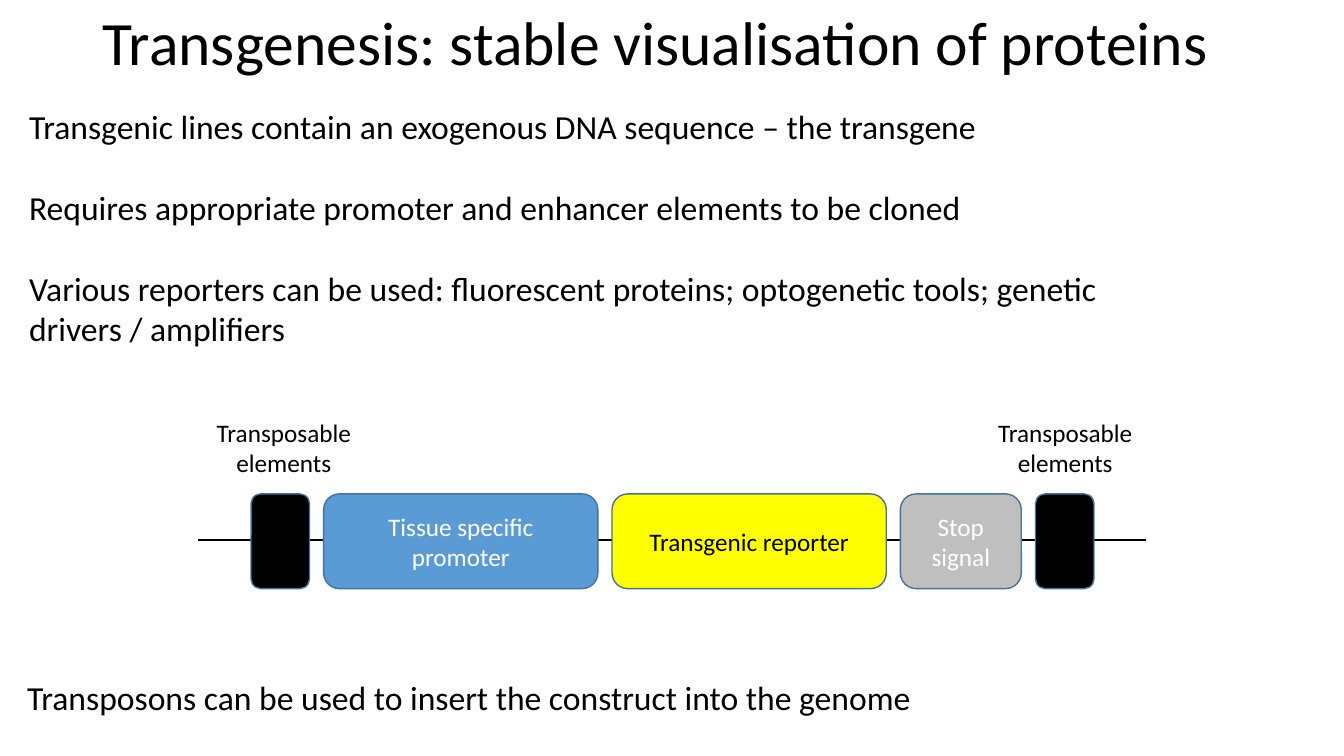
from dataclasses import dataclass

from lxml import etree
from pptx import Presentation
from pptx.dml.color import RGBColor
from pptx.enum.shapes import MSO_CONNECTOR, MSO_SHAPE
from pptx.enum.text import MSO_ANCHOR, MSO_AUTO_SIZE, PP_ALIGN
from pptx.oxml.ns import qn
from pptx.slide import Slide
from pptx.text.text import TextFrame
from pptx.util import Inches, Pt

LINE = MSO_CONNECTOR.STRAIGHT
ROUND = MSO_SHAPE.ROUNDED_RECTANGLE
TOP, MIDDLE = MSO_ANCHOR.TOP, MSO_ANCHOR.MIDDLE
GROW, FIXED = MSO_AUTO_SIZE.SHAPE_TO_FIT_TEXT, MSO_AUTO_SIZE.NONE
LEFT, CENTER = PP_ALIGN.LEFT, PP_ALIGN.CENTER

FONT = "Calibri"
BLACK, WHITE, EDGE = "000000", "FFFFFF", "43739E"
START, GAP = 2.49, 0.14
GENE_TOP, GENE_HIGH = 4.9, 0.94


@dataclass
class Part:
    """One block of the gene construct."""
    wide: float
    fill: str
    lines: tuple[str, ...] = ()
    ink: str = WHITE


@dataclass
class Note:
    """A free text box."""
    left: float
    top: float
    wide: float
    high: float
    lines: tuple[str, ...]
    size: float
    align: PP_ALIGN = LEFT
    wrap: bool = False
    gap: float = 0
    pitch: float = 1.0


ENDS = ("Transposable", "elements")
NOTES = [
    Note(0.19, 1, 10.97, 2.52, (
        "Transgenic lines contain an exogenous DNA sequence – the transgene",
        "Requires appropriate promoter and enhancer elements to be cloned",
        "Various reporters can be used: fluorescent proteins; optogenetic tools; genetic"
        "\vdrivers / amplifiers"), 24, gap=29),
    Note(2.04, 4.09, 1.55, 0.71, ENDS, 18, CENTER),
    Note(9.79, 4.09, 1.55, 0.71, ENDS, 18, CENTER),
    Note(0.17, 6.67, 9.05, 0.5,
         ("Transposons can be used to insert the construct into the genome",), 24),
    Note(0.92, 0.07, 11.5, 1.45,
         ("Transgenesis: stable visualisation of proteins",), 44, wrap=True, pitch=0.9),
]
PARTS = [
    Part(0.58, BLACK),
    Part(2.72, "5B9BD5", ("Tissue specific promoter",)),
    Part(2.72, "FFFF00", ("Transgenic reporter",), BLACK),
    Part(1.2, "BFBFBF", ("Stop", "signal")),
    Part(0.58, BLACK),
]


def color(code: str) -> RGBColor:
    return RGBColor.from_string(code)


def write(frame: TextFrame, lines: tuple[str, ...], size: float, ink: str,
          align: PP_ALIGN, gap: float = 0, pitch: float = 1.0) -> None:
    """Add one paragraph per line; a vertical tab breaks within one."""
    for i, line in enumerate(lines):
        para = frame.add_paragraph() if i else frame.paragraphs[0]
        para.alignment = align
        para.line_spacing = pitch
        para.space_before = Pt(gap if i else 0)
        for j, text in enumerate(line.split("\v")):
            if j:
                para.add_line_break()
            run = para.add_run()
            run.text = text
            run.font.name = FONT
            run.font.size = Pt(size)
            run.font.color.rgb = color(ink)


def add_note(slide: Slide, note: Note) -> None:
    box = slide.shapes.add_textbox(Inches(note.left), Inches(note.top),
                                   Inches(note.wide), Inches(note.high))
    frame = box.text_frame
    frame.word_wrap = note.wrap
    frame.auto_size = FIXED if note.wrap else GROW
    frame.vertical_anchor = TOP
    write(frame, note.lines, note.size, BLACK, note.align, note.gap, note.pitch)


def add_strand(slide: Slide) -> None:
    """Draw the DNA line on which the blocks sit."""
    y = Inches(5.36)
    strand = slide.shapes.add_connector(LINE, Inches(1.96), y, Inches(11.37), y)
    strand.line.color.rgb = color(BLACK)
    strand.line.width = Pt(1.5)
    etree.SubElement(strand._element.spPr, qn("a:effectLst"))


def add_part(slide: Slide, part: Part, left: float) -> None:
    block = slide.shapes.add_shape(ROUND, Inches(left), Inches(GENE_TOP),
                                   Inches(part.wide), Inches(GENE_HIGH))
    block.shadow.inherit = False
    block.fill.solid()
    block.fill.fore_color.rgb = color(part.fill)
    block.line.color.rgb = color(EDGE)
    block.line.width = Pt(1)
    frame = block.text_frame
    frame.word_wrap = True
    frame.vertical_anchor = MIDDLE
    write(frame, part.lines, 18, part.ink, CENTER)


def main() -> None:
    deck = Presentation()
    deck.slide_width, deck.slide_height = Inches(13.33), Inches(7.5)
    slide = deck.slides.add_slide(deck.slide_layouts[6])
    add_strand(slide)
    left = START
    for part in PARTS:
        add_part(slide, part, left)
        left += part.wide + GAP
    for note in NOTES:
        add_note(slide, note)
    deck.save("out.pptx")


if __name__ == "__main__":
    main()
